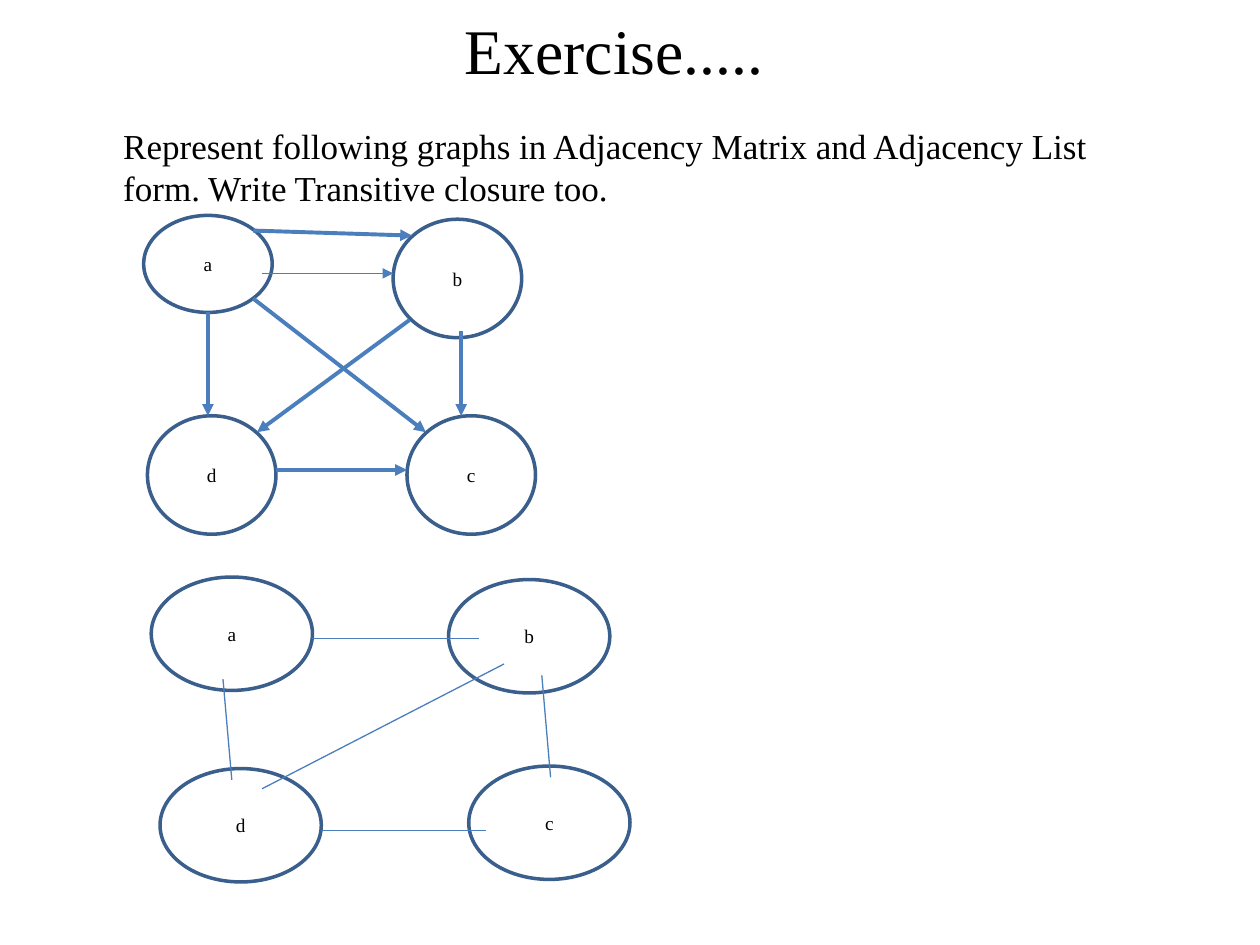
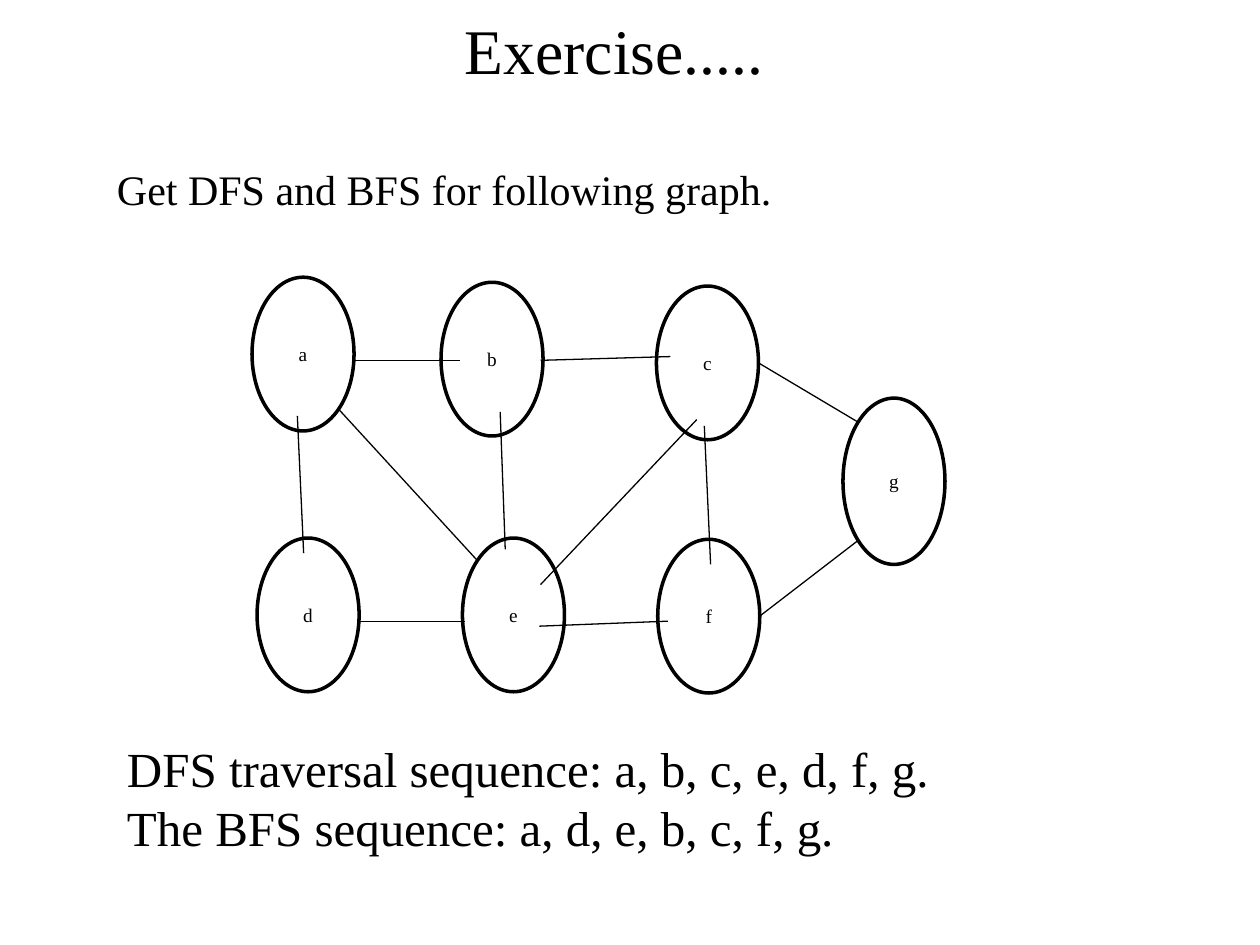
from lxml import etree
from pptx import Presentation
from pptx.dml.color import RGBColor
from pptx.enum.shapes import MSO_CONNECTOR, MSO_SHAPE
from pptx.enum.text import MSO_ANCHOR, MSO_AUTO_SIZE, PP_ALIGN
from pptx.oxml.ns import qn
from pptx.util import Inches, Pt

STRAIGHT = MSO_CONNECTOR.STRAIGHT
OVAL = MSO_SHAPE.FLOWCHART_CONNECTOR
MIDDLE = MSO_ANCHOR.MIDDLE
FIXED = MSO_AUTO_SIZE.NONE
LEFT, CENTER = PP_ALIGN.LEFT, PP_ALIGN.CENTER

WIDE, HIGH = Inches(10), Inches(7.5)
CELL = WIDE / 100
FONT = "Times New Roman"
BLACK, NAVY, BLUE = "000000", "3A5F8C", "4B7EBC"
THIN, THICK, RIM = 0.75, 2.25, 2

TITLE = (2.5, 0.8, 92.5, 6.2)

ARROWS = dict(
    box=(11.4, 17.1), size=(10.2, 9.4), rim=NAVY, ink=BLUE, arrow=True,
    nodes=[("a", 0, 0, 10.2, 7.7), ("b", 19.8, 0.3),
           ("d", 0.3, 15.9), ("c", 20.9, 15.9)],
    edges=[(5.1, 7.7, 5.1, 15.9, THICK), (25.2, 9.2, 25.2, 15.9, THICK),
           (9.4, 4.6, 19.8, 4.6), (8.7, 6.6, 22.4, 17.2, THICK),
           (10.5, 20.2, 20.9, 20.2, THICK), (21.1, 8.3, 9, 17.2, THICK),
           (8.7, 1.2, 21.3, 1.6, THICK)])

PLAIN = dict(
    box=(12, 45.8), size=(12.8, 9), rim=NAVY, ink=BLUE,
    nodes=[("a", 0, 0), ("b", 23.6, 0.2), ("d", 0.7, 15.2), ("c", 25.2, 15)],
    edges=[(12.8, 4.9, 26, 4.9), (13.5, 20.1, 26.6, 20.1),
           (5.7, 8.1, 6.4, 16.1), (31, 7.8, 31.7, 15.9),
           (28, 6.9, 8.8, 16.8)])

SEARCH = dict(
    box=(20, 22), size=(8.1, 12.2), rim=BLACK, ink=BLACK,
    nodes=[("a", 0, 0), ("b", 15, 0.4), ("c", 32.1, 0.7),
           ("d", 0.4, 20.7), ("e", 16.7, 20.7), ("f", 32.2, 20.8),
           ("g", 46.9, 9.6, 8.1, 13.2)],
    edges=[(22.8, 27.7, 33, 27.3), (8.1, 6.6, 16.5, 6.6),
           (8.6, 27.3, 16.9, 27.3), (22.9, 6.6, 33.2, 6.3),
           (3.6, 11, 4.1, 21.9), (19.7, 10.7, 20.1, 21.6),
           (35.3, 11.3, 22.9, 24.4), (40.2, 6.8, 48.1, 11.5),
           (40.3, 26.9, 48.1, 20.9), (6.9, 10.5, 17.9, 22.5),
           (35.9, 11.8, 36.4, 22.8)])


def grid(*cells):
    return [round(n * CELL) for n in cells]


def color(code):
    return RGBColor.from_string(code)


def write(frame, lines, size, align=LEFT):
    frame.word_wrap = True
    for i, line in enumerate(lines):
        para = frame.paragraphs[0] if i == 0 else frame.add_paragraph()
        para.alignment = align
        run = para.add_run()
        run.text = line
        run.font.name = FONT
        run.font.size = Pt(size)
        run.font.color.rgb = color(BLACK)


def stroke(line, code, width):
    line.color.rgb = color(code)
    line.width = Pt(width)


def add_title(slide, box, text):
    title = slide.shapes.title
    title.left, title.top, title.width, title.height = grid(*box)
    frame = title.text_frame
    frame.auto_size = FIXED
    frame.vertical_anchor = MIDDLE
    write(frame, [text], 36.3, CENTER)


def add_note(slide, box, lines, size):
    note = slide.shapes.add_textbox(*grid(*box))
    write(note.text_frame, lines, size)


def add_node(slide, box, name, rim):
    node = slide.shapes.add_shape(OVAL, *grid(*box))
    node.shadow.inherit = False
    node.fill.background()
    stroke(node.line, rim, RIM)
    node.text_frame.vertical_anchor = MIDDLE
    write(node.text_frame, [name], 11, CENTER)


def add_edge(slide, ends, ink, width, arrow):
    edge = slide.shapes.add_connector(STRAIGHT, *grid(*ends))
    stroke(edge.line, ink, width)
    props = edge.element.spPr
    if arrow:
        etree.SubElement(props.find(qn("a:ln")), qn("a:tailEnd"), type="triangle")
    etree.SubElement(props, qn("a:effectLst"))


def add_graph(slide, box, size, rim, ink, nodes, edges, arrow=False):
    x, y = box
    for name, col, row, *own in nodes:
        add_node(slide, (x + col, y + row, *(own or size)), name, rim)
    for x1, y1, x2, y2, *width in edges:
        ends = (x + x1, y + y1, x + x2, y + y2)
        add_edge(slide, ends, ink, width[0] if width else THIN, arrow)


def add_slide(deck, graphs, notes):
    slide = deck.slides.add_slide(deck.slide_layouts[5])
    add_title(slide, TITLE, "Exercise.....")
    for graph in graphs:
        add_graph(slide, **graph)
    for note in notes:
        add_note(slide, *note)


def main():
    deck = Presentation()
    deck.slide_width, deck.slide_height = WIDE, HIGH
    add_slide(deck, [ARROWS, PLAIN], [
        ((8.8, 9.4, 80, 7.7),
         ["Represent following graphs in Adjacency Matrix and Adjacency List "
          "form. Write Transitive closure too."], 20)])
    add_slide(deck, [SEARCH], [
        ((8.3, 12.5, 56.7, 5), ["Get DFS and BFS for following graph."], 24),
        ((9.1, 58.1, 80, 10.4),
         ["DFS traversal sequence: a, b, c, e, d, f, g.",
          "The BFS sequence: a, d, e, b, c, f, g."], 28)])
    deck.save("out.pptx")


if __name__ == "__main__":
    main()
